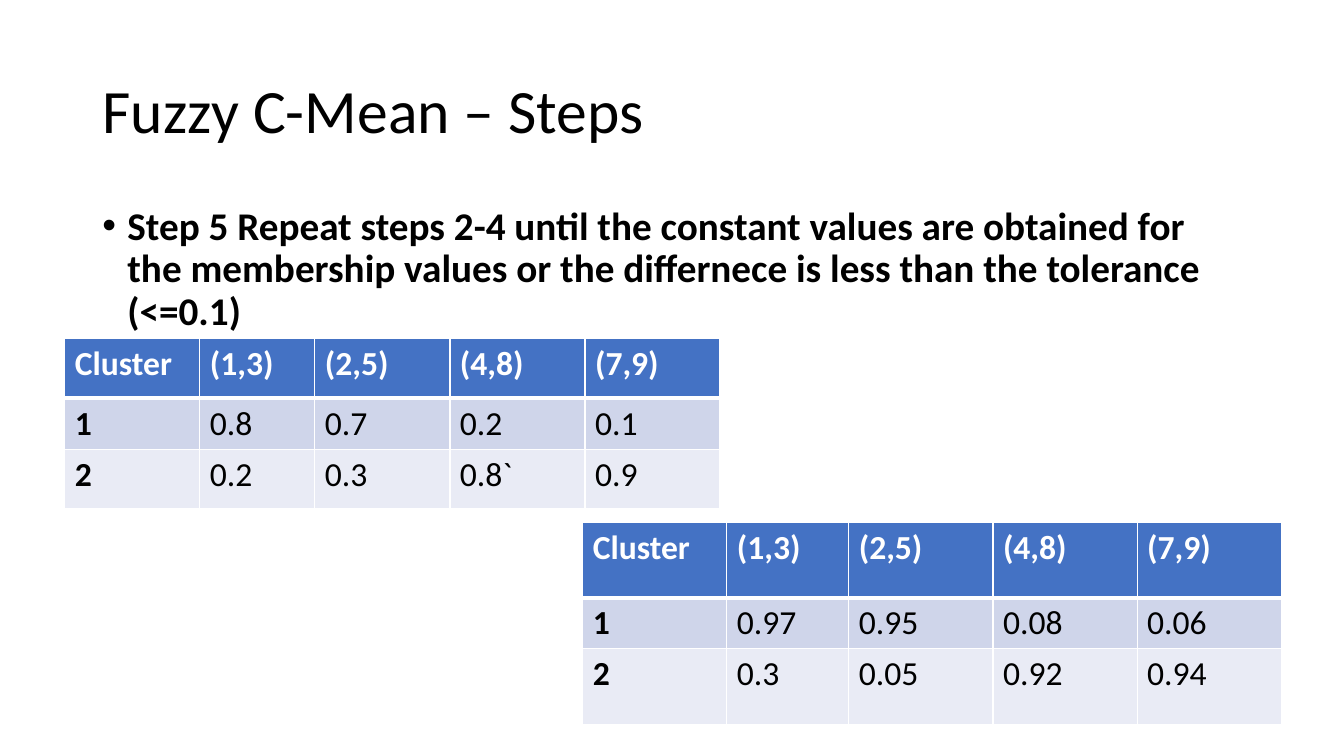
from dataclasses import dataclass

from lxml.etree import SubElement
from pptx import Presentation
from pptx.dml.color import RGBColor
from pptx.enum.text import MSO_ANCHOR, MSO_AUTO_SIZE, PP_ALIGN
from pptx.oxml.ns import qn
from pptx.slide import Slide
from pptx.table import _Cell
from pptx.text.text import _Paragraph
from pptx.util import Pt

FONT = "Calibri"
BLACK = "000000"
WHITE = "FFFFFF"
HEADER_FILL = "4472C4"
ROW_FILLS = ("CFD5EA", "E9EBF5")
HEADINGS = ("Cluster", "(1,3)", "(2,5)", "(4,8)", "(7,9)")


@dataclass(frozen=True)
class MembershipTable:
    left: float
    top: float
    wide_column: float
    narrow_column: float
    outer_row: float
    middle_row: float
    memberships: tuple[tuple[str, ...], ...]


MEMBERSHIP_TABLES = (
    MembershipTable(46.3, 241.9, 96.5, 82.1, 42.5, 36.5,
                    (("1", "0.8", "0.7", "0.2", "0.1"),
                     ("2", "0.2", "0.3", "0.8`", "0.9"))),
    MembershipTable(416.2, 373, 103, 87.1, 54, 36.5,
                    (("1", "0.97", "0.95", "0.08", "0.06"),
                     ("2", "0.3", "0.05", "0.92", "0.94"))),
)


def color(value: str) -> RGBColor:
    return RGBColor.from_string(value)


def format_runs(paragraph: _Paragraph, size: float, text_color: str, bold: bool) -> None:
    for run in paragraph.runs:
        run.font.name = FONT
        run.font.size = Pt(size)
        run.font.bold = bold
        run.font.color.rgb = color(text_color)


def add_cell_borders(cell: _Cell, top: float, bottom: float) -> None:
    """Draw white borders, with the top and bottom widths given in points."""
    properties = cell._tc.get_or_add_tcPr()
    for tag, width in (("a:lnL", 1), ("a:lnR", 1), ("a:lnT", top), ("a:lnB", bottom)):
        line = SubElement(properties, qn(tag), w=str(Pt(width)))
        fill = SubElement(line, qn("a:solidFill"))
        SubElement(fill, qn("a:srgbClr"), val=WHITE)


def add_title(slide: Slide, text: str) -> None:
    title = slide.shapes.title
    title.left, title.top, title.width, title.height = Pt(66), Pt(28.8), Pt(828), Pt(104.4)
    frame = title.text_frame
    frame.text = text
    frame.auto_size = MSO_AUTO_SIZE.NONE
    frame.vertical_anchor = MSO_ANCHOR.MIDDLE
    paragraph = frame.paragraphs[0]
    paragraph.alignment = PP_ALIGN.LEFT
    paragraph.line_spacing = 0.9
    format_runs(paragraph, 44, BLACK, False)


def add_step(slide: Slide, text: str) -> None:
    frame = slide.shapes.add_textbox(Pt(66), Pt(144), Pt(828), Pt(396)).text_frame
    frame.word_wrap = True
    frame.text = text
    paragraph = frame.paragraphs[0]
    properties = paragraph._p.get_or_add_pPr()
    properties.set("marL", str(Pt(18)))
    properties.set("indent", str(Pt(-18)))
    SubElement(properties, qn("a:buFont"), typeface="Arial")
    SubElement(properties, qn("a:buChar"), char="•")
    paragraph.line_spacing = 0.9
    format_runs(paragraph, 28, BLACK, True)


def add_membership_table(slide: Slide, data: MembershipTable) -> None:
    rows = (HEADINGS, *data.memberships)
    widths = [data.wide_column] * len(HEADINGS)
    widths[1] = data.narrow_column
    heights = (data.outer_row, data.middle_row, data.outer_row)
    table = slide.shapes.add_table(
        len(rows), len(HEADINGS), Pt(data.left), Pt(data.top),
        Pt(sum(widths)), Pt(sum(heights))).table
    table.first_col = True
    for column, width in zip(table.columns, widths):
        column.width = Pt(width)
    for row, height in zip(table.rows, heights):
        row.height = Pt(height)

    for row_index, values in enumerate(rows):
        is_header = row_index == 0
        fill = HEADER_FILL if is_header else ROW_FILLS[row_index - 1]
        for column_index, value in enumerate(values):
            cell = table.cell(row_index, column_index)
            cell.text_frame.text = value
            format_runs(cell.text_frame.paragraphs[0], 24,
                        WHITE if is_header else BLACK,
                        is_header or column_index == 0)
            add_cell_borders(cell, 3 if row_index == 1 else 1, 3 if is_header else 1)
            cell.fill.solid()
            cell.fill.fore_color.rgb = color(fill)


def main() -> None:
    presentation = Presentation()
    presentation.slide_width, presentation.slide_height = Pt(960), Pt(540)
    slide = presentation.slides.add_slide(presentation.slide_layouts[5])
    add_title(slide, "Fuzzy C-Mean – Steps")
    add_step(slide, "Step 5 Repeat steps 2-4 until the constant values are obtained for "
                    "the membership values or the differnece is less than the tolerance (<=0.1)")
    for data in MEMBERSHIP_TABLES:
        add_membership_table(slide, data)
    presentation.save("out.pptx")


if __name__ == "__main__":
    main()
